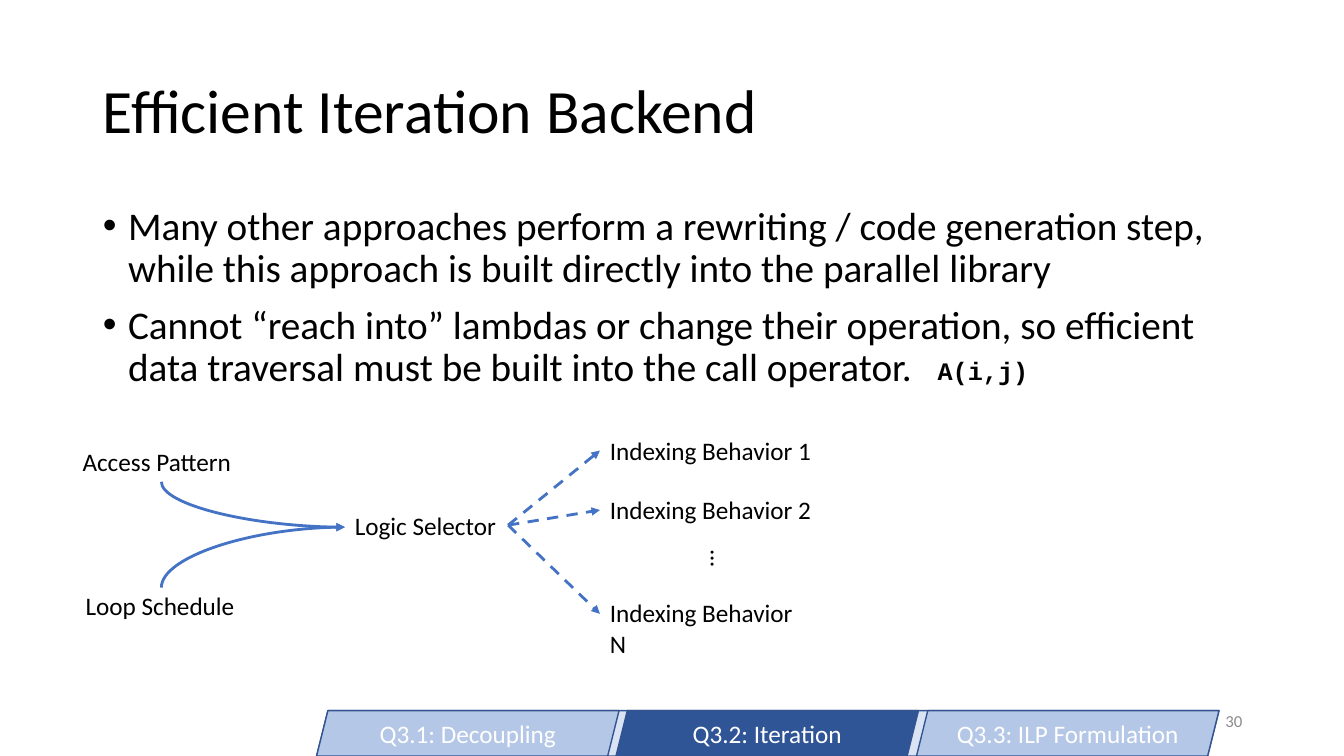
from lxml.etree import SubElement
from pptx import Presentation
from pptx.dml.color import RGBColor
from pptx.enum.dml import MSO_LINE
from pptx.enum.shapes import MSO_CONNECTOR, MSO_SHAPE
from pptx.enum.text import MSO_ANCHOR, MSO_AUTO_SIZE, PP_ALIGN
from pptx.oxml.ns import qn
from pptx.util import Emu, Pt

SCALE = 9144
COLORS = {
    "text": "000000", "number": "8C8C8C", "white": "FFFFFF",
    "arrow": "4472C4", "edge": "325491", "band": "DAE3F3",
    "tab": "B4C7E7", "active": "2F5597",
}


def px(*sizes):
    return [Emu(size * SCALE) for size in sizes]


def rgb(name):
    return RGBColor.from_string(COLORS[name])


def write(para, text, size=18, font="Calibri", color="text", bold=False,
          align=PP_ALIGN.LEFT, lead=None, before=0, bullet=None):
    para.text = text
    if bullet:
        props = para._p.get_or_add_pPr()
        left, hang = px(25, -25)
        props.set("marL", str(left))
        props.set("indent", str(hang))
        SubElement(props, qn("a:buFont")).set("typeface", "Arial")
        SubElement(props, qn("a:buChar")).set("char", bullet)
    para.alignment = align
    para.line_spacing = lead
    para.space_before = Pt(before)
    for run in para.runs:
        run.font.size = Pt(size)
        run.font.name = font
        run.font.bold = bold
        run.font.color.rgb = rgb(color)


class Canvas:
    """Hold the style and draw each kind of element on one slide."""

    def __init__(self, deck):
        self.slide = deck.slides.add_slide(deck.slide_layouts[1])
        self.shapes = self.slide.shapes

    def fill(self, holder, box, lines, anchor, **style):
        holder.left, holder.top, holder.width, holder.height = px(*box)
        frame = holder.text_frame
        frame.auto_size = MSO_AUTO_SIZE.NONE
        frame.vertical_anchor = anchor
        for i, line in enumerate(lines):
            para = frame.add_paragraph() if i else frame.paragraphs[0]
            write(para, line, lead=0.9, before=10 if i else 0, **style)

    def label(self, text, box, wrap=False, turn=0,
              anchor=MSO_ANCHOR.TOP, fit=MSO_AUTO_SIZE.SHAPE_TO_FIT_TEXT, **style):
        shape = self.shapes.add_textbox(*px(*box))
        shape.rotation = turn
        frame = shape.text_frame
        frame.word_wrap = wrap
        frame.auto_size = fit
        frame.vertical_anchor = anchor
        write(frame.paragraphs[0], text, **style)

    def arrow(self, start, end, kind=MSO_CONNECTOR.STRAIGHT, dash=None):
        link = self.shapes.add_connector(kind, *px(*start, *end))
        link.line.color.rgb = rgb("arrow")
        link.line.width = Pt(2)
        link.line.dash_style = dash
        props = link.element.spPr
        SubElement(link.line._get_or_add_ln(), qn("a:tailEnd")).set("type", "triangle")
        SubElement(props, qn("a:effectLst"))
        return link

    def curve(self, start, end):
        link = self.arrow(start, end, MSO_CONNECTOR.CURVE)
        wide, high = link.width, link.height
        midx, midy = link.left + wide // 2, link.top + high // 2
        rising = start[1] > end[1]
        props = link.element.spPr
        props.find(qn("a:prstGeom")).set("prst", "curvedConnector2")
        xfrm = props.find(qn("a:xfrm"))
        xfrm.set("rot", "5400000" if rising else "16200000")
        xfrm.set("flipH", "1")
        xfrm.set("flipV", "1" if rising else "0")
        link.left, link.top = Emu(midx - high // 2), Emu(midy - wide // 2)
        link.width, link.height = high, wide

    def tab(self, box, color, text=""):
        shape = self.shapes.add_shape(MSO_SHAPE.PARALLELOGRAM, *px(*box))
        shape.shadow.inherit = False
        shape.fill.solid()
        shape.fill.fore_color.rgb = rgb(color)
        shape.line.color.rgb = rgb("edge")
        shape.line.width = Pt(1)
        if text:
            frame = shape.text_frame
            frame.vertical_anchor = MSO_ANCHOR.MIDDLE
            write(frame.paragraphs[0], text, color="white", align=PP_ALIGN.CENTER)


def main():
    deck = Presentation()
    deck.slide_width, deck.slide_height = px(1333, 750)
    page = Canvas(deck)
    page.fill(page.shapes.title, (92, 40, 1150, 145),
              ["Efficient Iteration Backend"], MSO_ANCHOR.MIDDLE, size=44)
    page.fill(page.slide.placeholders[1], (92, 200, 1150, 221), [
        "Many other approaches perform a rewriting / code generation step, "
        "while this approach is built directly into the parallel library",
        "Cannot “reach into” lambdas or change their operation, so efficient "
        "data traversal must be built into the call operator.",
    ], MSO_ANCHOR.TOP, size=28, bullet="•")
    page.label("30", (942, 695, 300, 40), wrap=True, anchor=MSO_ANCHOR.MIDDLE,
               fit=MSO_AUTO_SIZE.NONE, size=12, color="number", align=PP_ALIGN.RIGHT)

    page.label("Access Pattern", (72, 438, 175, 40))
    page.label("Loop Schedule", (75, 581, 170, 40))
    page.label("Logic Selector", (342, 501, 162, 40))
    page.label("...", (695, 535, 40, 40), wrap=True, turn=90)
    page.label("A(i,j)", (920, 348, 111, 40), font="Courier New", bold=True)

    for top in (478, 583):
        page.curve((160, top), (342, 523))
    for name, top, tip in (("1", 427, 447), ("2", 486, 506), ("N", 588, 609)):
        page.label(f"Indexing Behavior {name}", (595, top, 222, 40))
        page.arrow((504, 521), (595, tip), dash=MSO_LINE.DASH)

    page.tab((314, 705, 895, 45), "band")
    steps = ("Q3.1: Decoupling", "Q3.2: Iteration", "Q3.3: ILP Formulation")
    for i, step in enumerate(steps):
        page.tab((314 + i * 595 // 2, 705, 300, 45), "active" if i == 1 else "tab", step)
    deck.save("out.pptx")


if __name__ == "__main__":
    main()
